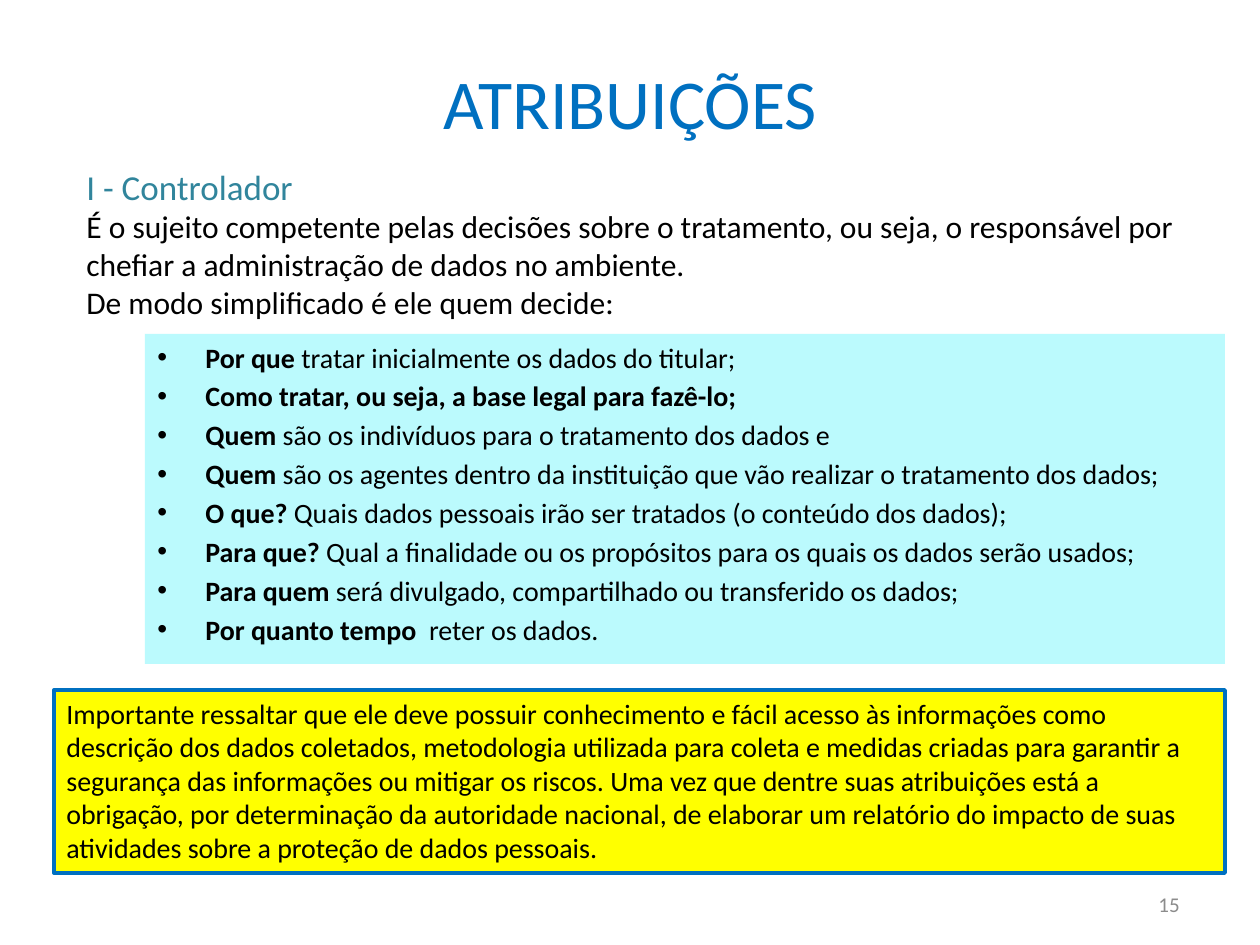
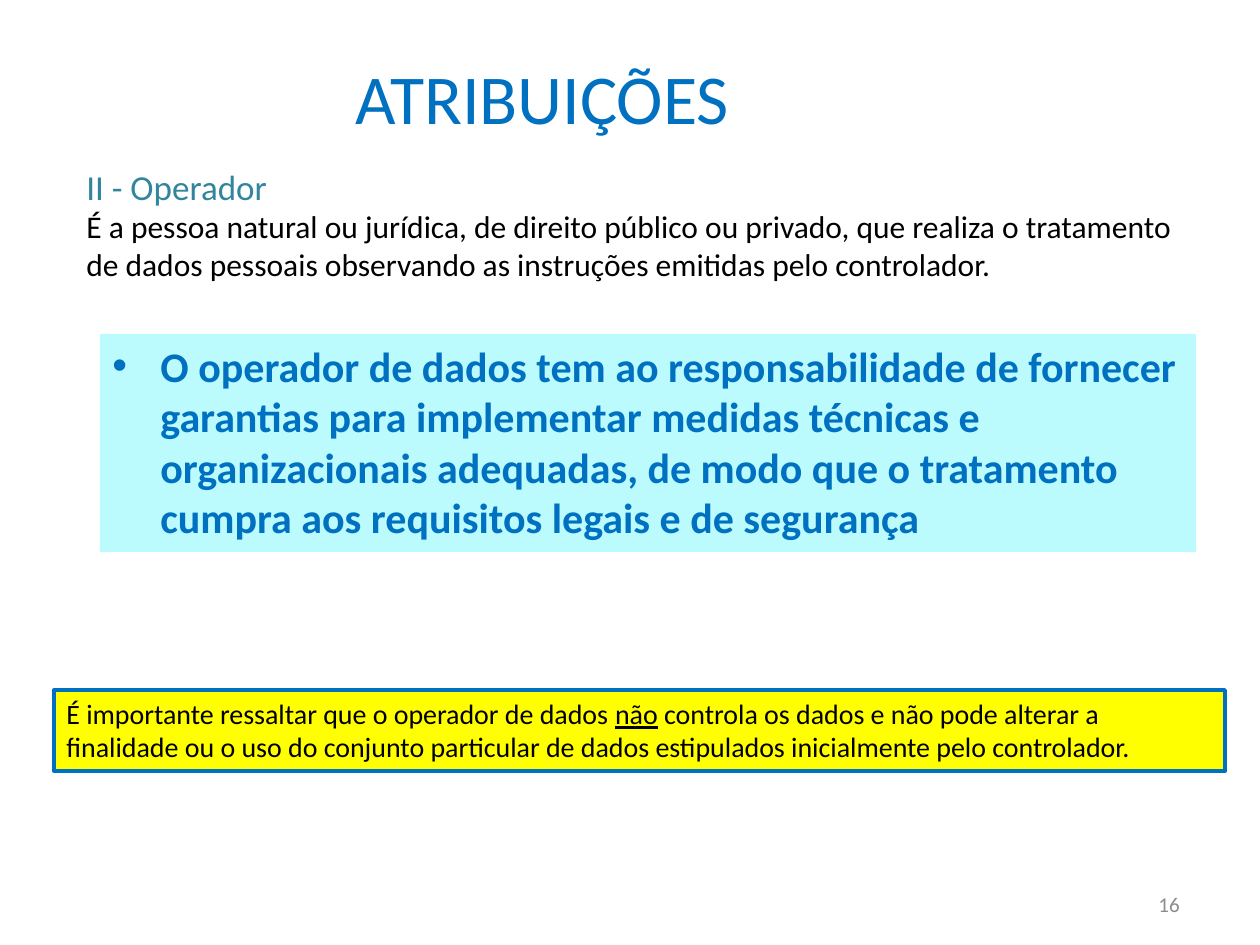
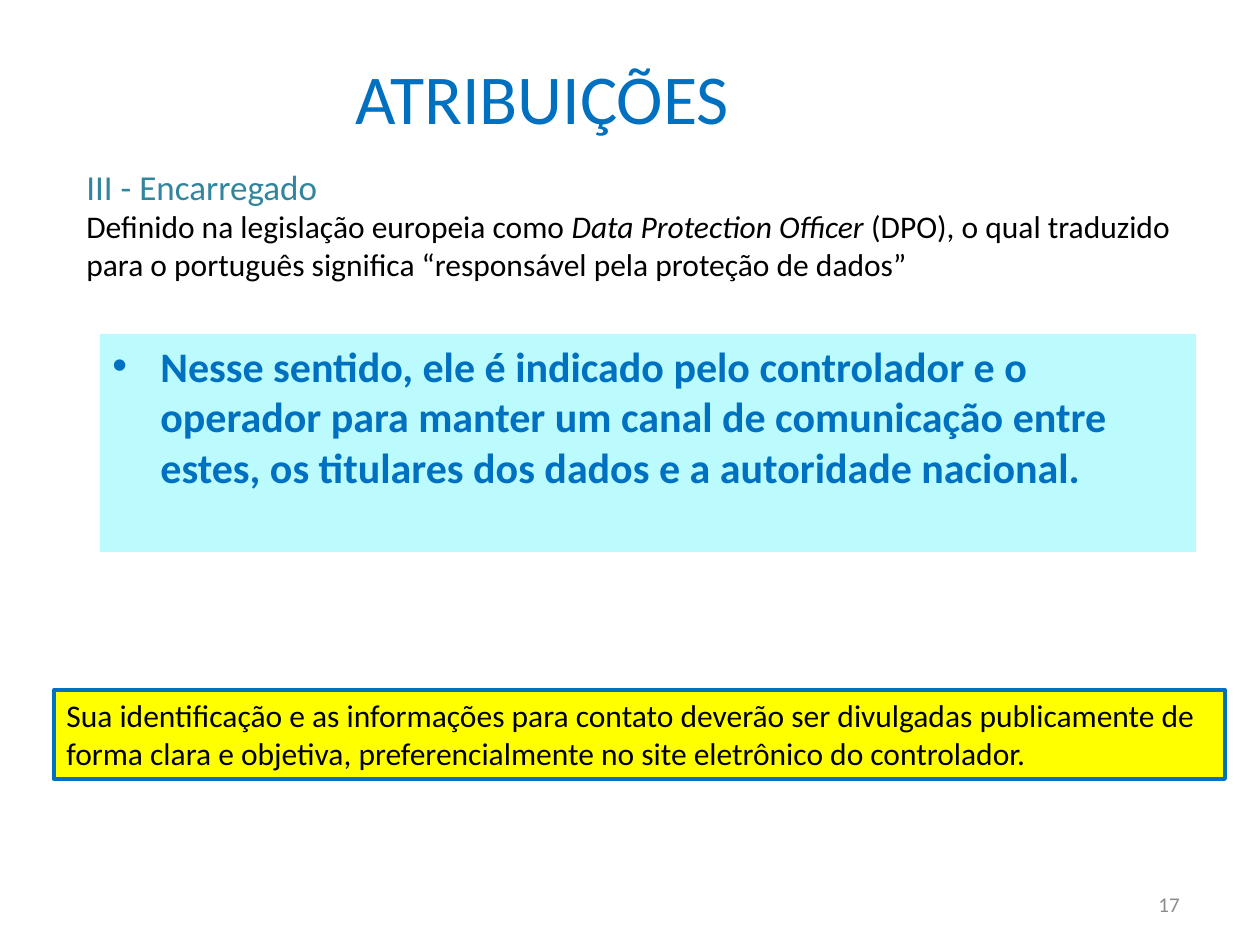
"""Builds three slides on the duties of the controller, operator and data protection officer."""
from dataclasses import dataclass

from lxml.etree import SubElement
from pptx import Presentation
from pptx.dml.color import RGBColor
from pptx.enum.shapes import MSO_SHAPE
from pptx.enum.text import MSO_ANCHOR, PP_ALIGN
from pptx.oxml.ns import qn
from pptx.util import Emu, Pt

PX_PER_INCH = 126


def px(length):
    return Emu(round(length * 914400 / PX_PER_INCH))


@dataclass(frozen=True)
class Theme:
    font: str = "Calibri"
    blue: str = "0070C0"
    teal: str = "31859C"
    black: str = "000000"
    grey: str = "8C8C8C"
    panel: str = "BBFAFD"
    highlight: str = "FFFF00"
    title_size: int = 40
    statement_size: int = 24
    heading_size: int = 20
    text_size: int = 18
    small_size: int = 16
    number_size: int = 12
    border: float = 2.25
    bullet_gap: int = 3
    bullet_indent: int = 48


class SlideBuilder:
    def __init__(self, deck, theme):
        self.deck = deck
        self.theme = theme
        self.page = None

    def new_page(self):
        self.page = self.deck.slides.add_slide(self.deck.slide_layouts[6])

    def text_box(self, bounds, anchor=MSO_ANCHOR.TOP):
        box = self.page.shapes.add_textbox(*map(px, bounds))
        return self.prepare(box, anchor)

    def panel(self, bounds, fill, border=None):
        box = self.page.shapes.add_shape(MSO_SHAPE.RECTANGLE, *map(px, bounds))
        box.shadow.inherit = False
        box.fill.solid()
        box.fill.fore_color.rgb = RGBColor.from_string(fill)
        if border:
            box.line.color.rgb = RGBColor.from_string(border)
            box.line.width = Pt(self.theme.border)
        else:
            box.line.fill.background()
        return self.prepare(box, MSO_ANCHOR.TOP)

    def prepare(self, box, anchor):
        frame = box.text_frame
        frame.word_wrap = True
        frame.vertical_anchor = anchor
        return frame

    def paragraph(self, frame, spans, size, color, align=PP_ALIGN.LEFT):
        para = frame.paragraphs[0]
        if para.runs:
            para = frame.add_paragraph()
        para.alignment = align
        para.font.name = self.theme.font
        para.font.size = Pt(size)
        para.font.color.rgb = RGBColor.from_string(color)
        for text, style in spans:
            span = para.add_run()
            span.text = text
            if style:
                setattr(span.font, style, True)
        return para

    def title(self, text, left, top):
        frame = self.text_box((left, top, 1134, 127), MSO_ANCHOR.MIDDLE)
        self.paragraph(frame, [(text, None)], self.theme.title_size,
                       self.theme.blue, PP_ALIGN.CENTER)

    def intro(self, heading, paragraphs, height):
        frame = self.text_box((74, 159, 1121, height))
        self.paragraph(frame, [(heading, None)], self.theme.heading_size, self.theme.teal)
        for spans in paragraphs:
            self.paragraph(frame, spans, self.theme.text_size, self.theme.black)

    def bullets(self, bounds, items, size, color):
        frame = self.panel(bounds, self.theme.panel)
        indent = px(self.theme.bullet_indent)
        for spans in items:
            para = self.paragraph(frame, spans, size, color)
            para.space_before = Pt(self.theme.bullet_gap)
            properties = para._p.get_or_add_pPr()
            properties.set("marL", str(indent))
            properties.set("indent", str(-indent))
            bullet_font = SubElement(properties, qn("a:buFont"))
            bullet_font.set("typeface", "Arial")
            bullet = SubElement(properties, qn("a:buChar"))
            bullet.set("char", "•")
            properties.append(properties.find(qn("a:defRPr")))

    def statement(self, text):
        self.bullets((100, 334, 1096, 218), [[(text, "bold")]],
                     self.theme.statement_size, self.theme.blue)

    def note(self, spans, height, size):
        frame = self.panel((54, 690, 1171, height), self.theme.highlight, self.theme.blue)
        self.paragraph(frame, spans, size, self.theme.black)

    def page_number(self, number):
        frame = self.text_box((898, 879, 294, 50), MSO_ANCHOR.MIDDLE)
        self.paragraph(frame, [(str(number), None)], self.theme.number_size,
                       self.theme.grey, PP_ALIGN.RIGHT)


TITLE = "ATRIBUIÇÕES"

DECISIONS = [
    ("Por que", " tratar inicialmente os dados do titular;"),
    ("Como tratar, ou seja, a base legal para fazê-lo;", ""),
    ("Quem ", "são os indivíduos para o tratamento dos dados e"),
    ("Quem ", "são os agentes dentro da instituição que vão realizar o tratamento dos dados;"),
    ("O que?", " Quais dados pessoais irão ser tratados (o conteúdo dos dados);"),
    ("Para que?", " Qual a finalidade ou os propósitos para os quais os dados serão usados;"),
    ("Para quem", " será divulgado, compartilhado ou transferido os dados;"),
    ("Por quanto tempo ", " reter os dados."),
]


def controller_page(builder):
    theme = builder.theme
    builder.new_page()
    builder.title(TITLE, 63, 38)
    builder.bullets(
        (145, 334, 1080, 330),
        [[(lead, "bold")] + ([(rest, None)] if rest else []) for lead, rest in DECISIONS],
        theme.small_size, theme.black)
    builder.page_number(15)
    builder.note(
        [("Importante ressaltar que ele deve possuir conhecimento e fácil acesso às "
          "informações como descrição dos dados coletados, metodologia utilizada para coleta "
          "e medidas criadas para garantir a segurança das informações ou mitigar os riscos. "
          "Uma vez que dentre suas atribuições está a obrigação, por determinação da "
          "autoridade nacional, de elaborar um relatório do impacto de suas atividades sobre "
          "a proteção de dados pessoais.", None)],
        183, theme.small_size)
    builder.intro(
        "I - Controlador",
        [[("É o sujeito competente pelas decisões sobre o tratamento, ou seja, o responsável "
           "por chefiar a administração de dados no ambiente.", None)],
         [("De modo simplificado é ele quem decide:", None)]],
        170)


def role_page(builder, number, heading, definition, statement, note, note_height, note_size):
    builder.new_page()
    builder.title(TITLE, -25, 33)
    builder.statement(statement)
    builder.page_number(number)
    builder.note(note, note_height, note_size)
    builder.intro(heading, [definition], 131)


def main():
    deck = Presentation()
    deck.slide_width, deck.slide_height = px(1260), px(945)
    theme = Theme()
    builder = SlideBuilder(deck, theme)
    controller_page(builder)
    role_page(
        builder, 16, "II - Operador",
        [("É a pessoa natural ou jurídica, de direito público ou privado, que realiza o "
          "tratamento de dados pessoais observando as instruções emitidas pelo controlador.",
          None)],
        "O operador de dados tem ao responsabilidade de fornecer garantias para implementar "
        "medidas técnicas e organizacionais adequadas, de modo que o tratamento cumpra aos "
        "requisitos legais e de segurança",
        [("É importante ressaltar que o operador de dados ", None),
         ("não", "underline"),
         (" controla os dados e não pode alterar a finalidade ou o uso do conjunto particular "
          "de dados estipulados inicialmente pelo controlador.", None)],
        81, theme.small_size)
    role_page(
        builder, 17, "III - Encarregado",
        [("Definido na legislação europeia como ", None),
         ("Data Protection Officer ", "italic"),
         ("(DPO), o qual traduzido para o português significa “responsável pela proteção "
          "de dados”", None)],
        "Nesse sentido, ele é indicado pelo controlador e o operador para manter um canal de "
        "comunicação entre estes, os titulares dos dados e a autoridade nacional.",
        [("Sua identificação e as informações para contato deverão ser divulgadas publicamente "
          "de forma clara e objetiva, preferencialmente no site eletrônico do controlador.",
          None)],
        89, theme.text_size)
    deck.save("out.pptx")


if __name__ == "__main__":
    main()
